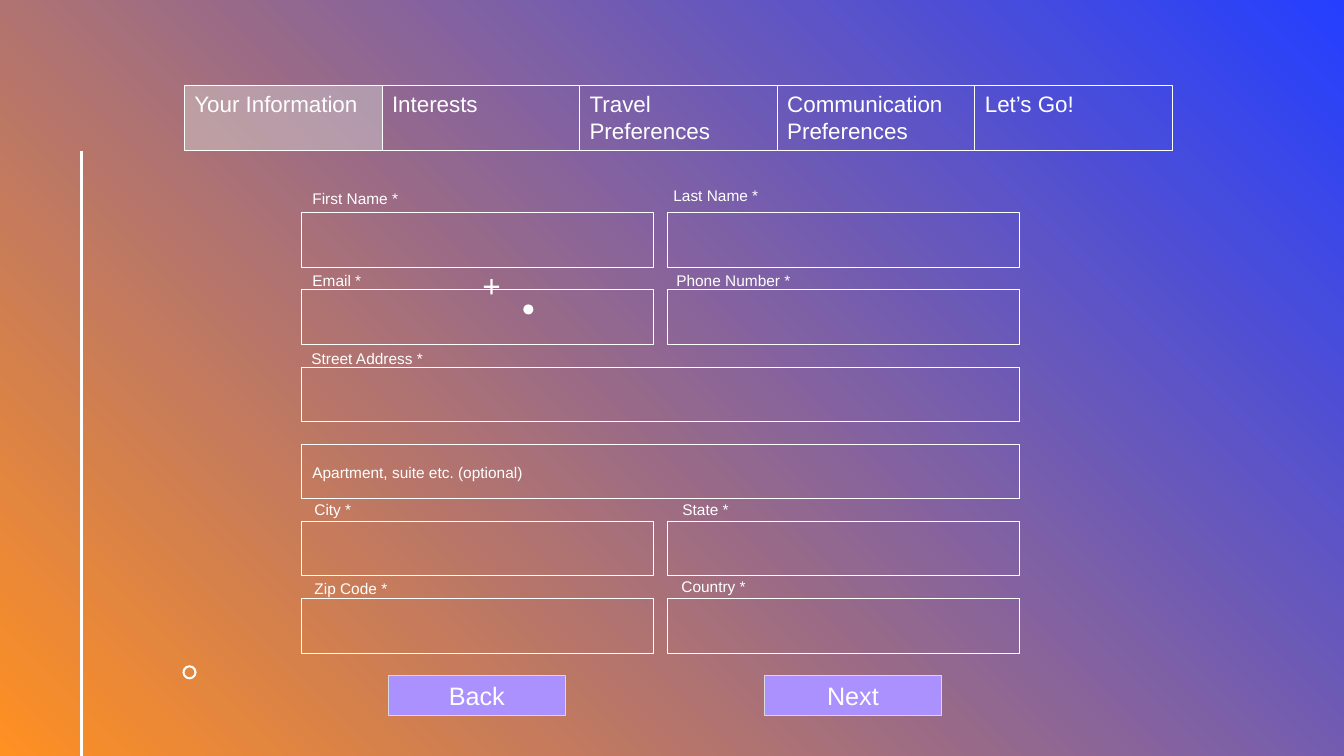
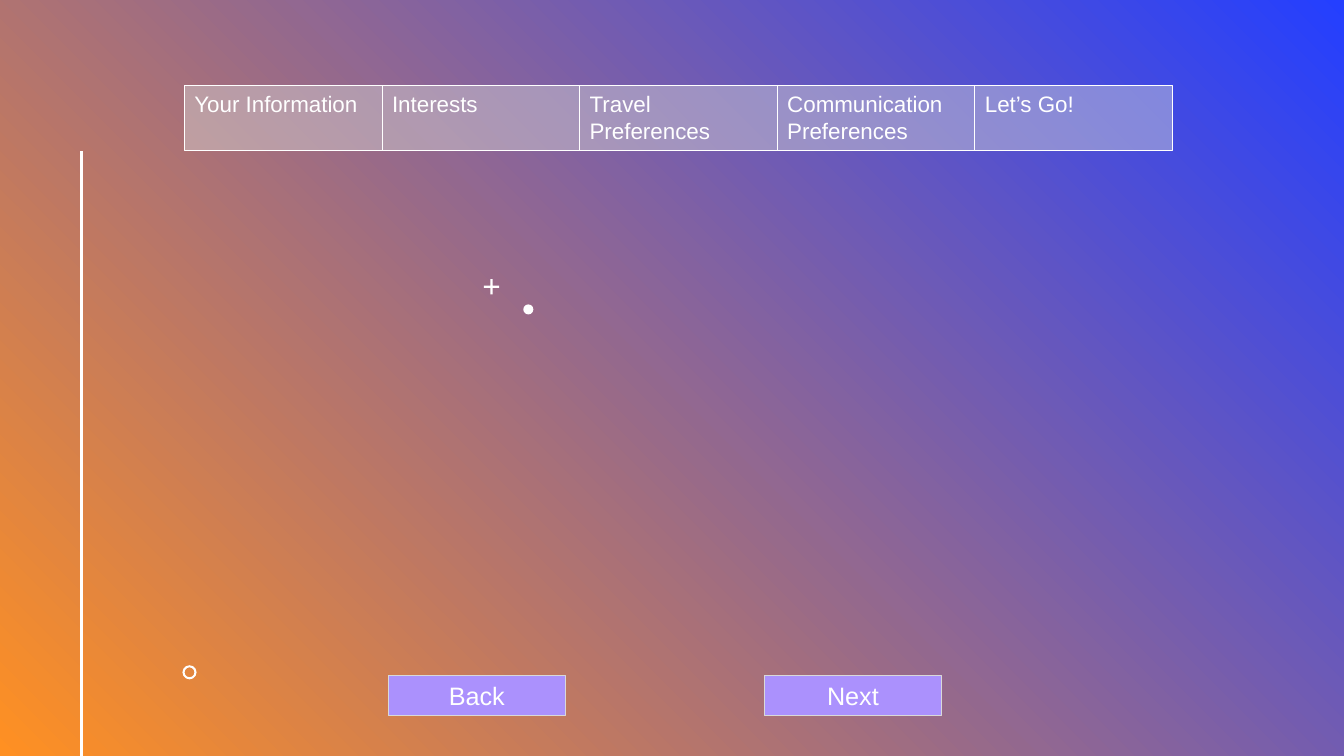
from lxml.etree import SubElement
from pptx import Presentation
from pptx.dml.color import RGBColor
from pptx.enum.shapes import MSO_CONNECTOR as Connector, MSO_SHAPE as Shape
from pptx.enum.text import MSO_ANCHOR as Anchor, MSO_AUTO_SIZE as AutoSize, PP_ALIGN as Align
from pptx.oxml.ns import qn
from pptx.util import Inches, Pt

WHITE, GREY, LILAC = "FFFFFF", "D9D9D9", "AB91FD"
BLUE, ORANGE = "243FFF", "FF9022"

TABS = ["Your Information", "Interests", "Travel Preferences",
        "Communication Preferences", "Let’s Go!"]
BUTTONS = [("Next", 7.58), ("Back", 3.85)]

FIELD_LEFT, FIELD_TOP, FIELD_WIDTH, FIELD_HEIGHT = 2.99, 2.11, 3.49, 0.54
COLUMN_STEP = 3.63
ROW_STEP = (5.94 - FIELD_TOP) / 5
COLUMNS_PER_ROW = [2, 2, 1, 1, 2, 2]
LABELS = [
    ("First Name *", 3, 1.83, 1.12),
    ("Last Name *", 6.58, 1.8, 1.11),
    ("Email *", 3, 2.64, 0.74),
    ("Phone Number *", 6.61, 2.64, 1.44),
    ("Street Address *", 2.99, 3.41, 1.41),
    ("Apartment, suite etc. (optional)", 3, 4.54, 2.46),
    ("City *", 3.02, 4.91, 0.61),
    ("State *", 6.67, 4.91, 0.71),
    ("Zip Code *", 3.02, 5.7, 0.98),
    ("Country *", 6.66, 5.68, 0.91),
]


def color(value):
    return RGBColor.from_string(value)


def set_formats(target, formats):
    for name, value in formats.items():
        setattr(target, name, value)


class FormDeck:
    font_name = "Arial"
    line_width = 0.75

    def __init__(self):
        self.presentation = Presentation()
        set_formats(self.presentation,
                    {"slide_width": Inches(13.33), "slide_height": Inches(7.5)})
        self.slide = None

    def add_slide(self, active_tabs):
        self.slide = self.presentation.slides.add_slide(self.presentation.slide_layouts[6])
        self.background()
        self.decorations()
        self.tabs(active_tabs)

    def background(self):
        fill = self.slide.background.fill
        fill.gradient()
        fill.gradient_angle = 225
        for stop, value in zip(fill.gradient_stops, (BLUE, ORANGE)):
            stop.color.rgb = color(value)

    def decorations(self):
        self.rule(0.81, 1.5, 7.5)
        self.shape(Shape.OVAL, 5.19, 3.02, 0.1, 0.1, fill=WHITE, line=None)
        plus = self.shape(Shape.CROSS, 4.8, 2.77, 0.15, 0.15, fill=WHITE, line=None)
        plus.adjustments[0] = 0.43
        ring = self.shape(Shape.DONUT, 1.81, 6.6, 0.14, 0.14, fill=WHITE, line=None)
        ring.adjustments[0] = 0.15

    def rule(self, left, top, bottom):
        connector = self.slide.shapes.add_connector(
            Connector.STRAIGHT, Inches(left), Inches(top), Inches(left), Inches(bottom))
        connector.line.color.rgb = color(WHITE)
        connector.line.width = Pt(2)
        SubElement(connector.element.spPr, qn("a:effectLst"))

    def shape(self, kind, left, top, width, height, fill=None, line=WHITE, alpha=None):
        shape = self.slide.shapes.add_shape(
            kind, Inches(left), Inches(top), Inches(width), Inches(height))
        shape.shadow.inherit = False
        if fill:
            shape.fill.solid()
            shape.fill.fore_color.rgb = color(fill)
        else:
            shape.fill.background()
        if alpha:
            solid_color = shape.element.spPr.find(qn("a:solidFill"))[0]
            SubElement(solid_color, qn("a:alpha"), val=str(alpha * 1000))
        if line:
            shape.line.color.rgb = color(line)
            shape.line.width = Pt(self.line_width)
        else:
            shape.line.fill.background()
        return shape

    def text(self, shape, wording, size, align=Align.LEFT, **frame_formats):
        frame = shape.text_frame
        set_formats(frame, {"vertical_anchor": Anchor.TOP, "word_wrap": True, **frame_formats})
        paragraph = frame.paragraphs[0]
        paragraph.alignment = align
        run = paragraph.add_run()
        run.text = wording
        set_formats(run.font, {"name": self.font_name, "size": Pt(size)})
        run.font.color.rgb = color(WHITE)

    def tabs(self, active_count):
        width = 1.96
        for index, wording in enumerate(TABS):
            style = {"fill": GREY, "alpha": 44} if index < active_count else {}
            tab = self.shape(Shape.RECTANGLE, 1.83 + index * width, 0.85, width, 0.64, **style)
            self.text(tab, wording, 16)

    def fields(self):
        for row, columns in enumerate(COLUMNS_PER_ROW):
            width = FIELD_WIDTH + (2 - columns) * COLUMN_STEP
            for column in range(columns):
                self.shape(Shape.RECTANGLE, FIELD_LEFT + column * COLUMN_STEP,
                           FIELD_TOP + row * ROW_STEP, width, FIELD_HEIGHT)

    def label(self, wording, left, top, width):
        box = self.slide.shapes.add_textbox(
            Inches(left), Inches(top), Inches(width), Inches(0.29))
        self.text(box, wording, 11, word_wrap=False, auto_size=AutoSize.SHAPE_TO_FIT_TEXT)

    def buttons(self):
        for wording, left in BUTTONS:
            button = self.shape(Shape.RECTANGLE, left, 6.7, 1.76, 0.4, fill=LILAC, line=GREY)
            self.text(button, wording, 18, Align.CENTER)


def main():
    deck = FormDeck()

    deck.add_slide(active_tabs=1)
    deck.fields()
    for label in LABELS:
        deck.label(*label)
    deck.buttons()

    deck.add_slide(active_tabs=len(TABS))
    deck.buttons()

    deck.presentation.save("out.pptx")


if __name__ == "__main__":
    main()
